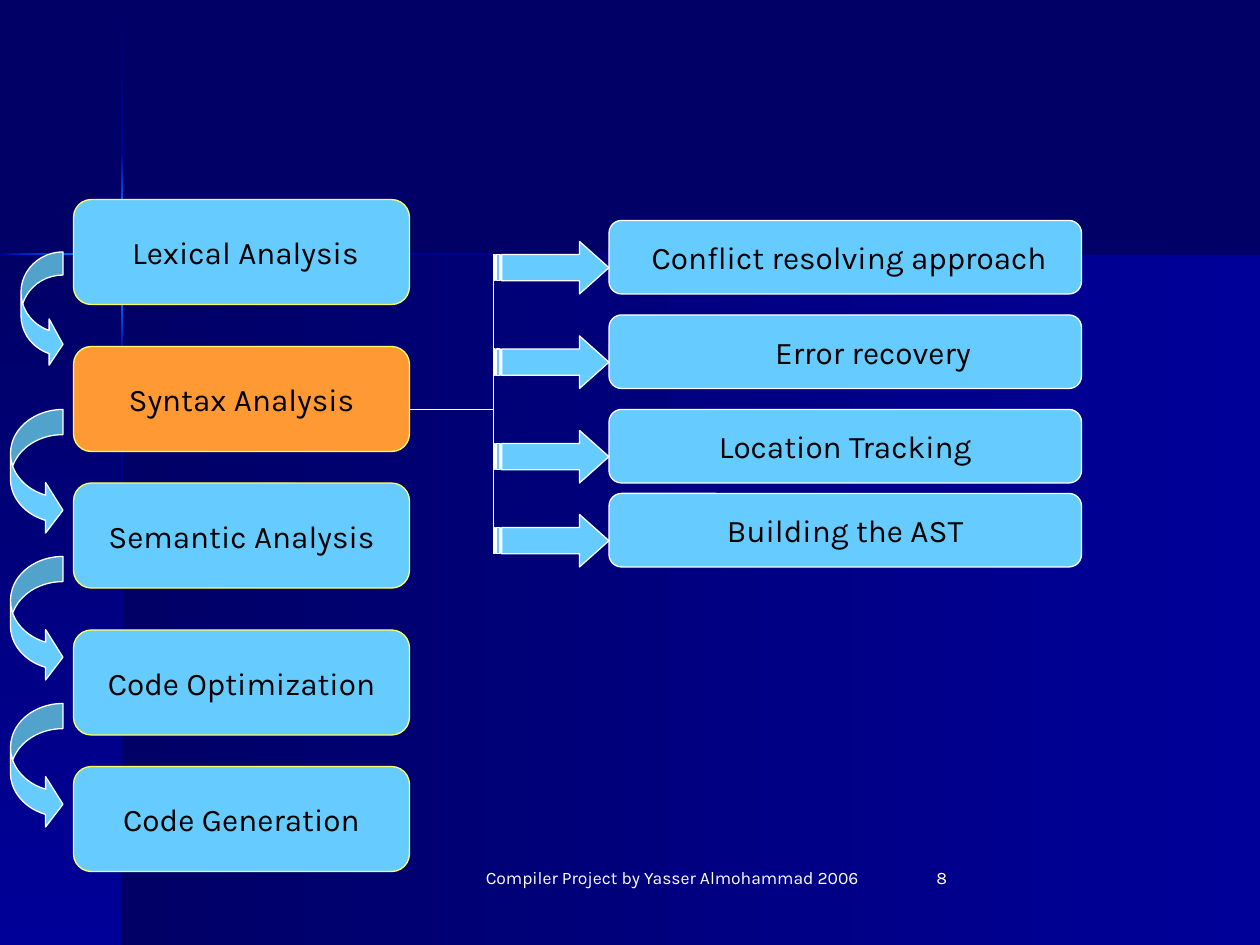
"""Build the slide on compiler phases, with the topics of syntax analysis."""
from lxml.etree import SubElement
from pptx import Presentation
from pptx.dml.color import RGBColor
from pptx.enum.shapes import MSO_CONNECTOR, MSO_SHAPE
from pptx.enum.text import MSO_ANCHOR, PP_ALIGN
from pptx.oxml.ns import qn
from pptx.util import Pt

PX = 7620
SKY, ORANGE, YELLOW, WHITE, BLACK = "66CCFF", "FF9933", "FFFF66", "FFFFFF", "000000"
NIGHT, NAVY, GLOW = "000066", "000099", "0066FF"
LEFTWARD, DOWNWARD = 180, 270


def paint(color_format, hex_color):
    color_format.rgb = RGBColor.from_string(hex_color)


def add_block(kind, box, fill, outline, adjustments=(), text="", paragraph_format=None):
    block = slide.shapes.add_shape(kind, *[n * PX for n in box])
    block.shadow.inherit = False
    block.fill.solid()
    paint(block.fill.fore_color, fill)
    paint(block.line.color, outline)
    block.line.width = Pt(0.75)
    for index, value in enumerate(adjustments):
        block.adjustments[index] = value
    if text:
        block.text_frame.word_wrap = False
        block.text_frame.vertical_anchor = MSO_ANCHOR.MIDDLE
        label = block.text_frame.paragraphs[0]
        label.text = text
        label.alignment = PP_ALIGN.CENTER
        for name, value in {"name": "Karla", "size": Pt(18)}.items():
            setattr(label.runs[0].font, name, value)
        paint(label.runs[0].font.color, BLACK)
        for name, value in (paragraph_format or {"rtl": "1"}).items():
            label._p.get_or_add_pPr().set(name, value)


presentation = Presentation()
presentation.slide_width, presentation.slide_height = 1200 * PX, 900 * PX
slide = presentation.slides.add_slide(presentation.slide_layouts[6])
slide.background.fill.solid()
paint(slide.background.fill.fore_color, NIGHT)

backdrop = [
    ((116, 242, 1084, 658), NAVY, NIGHT, LEFTWARD),
    ((0, 242, 116, 658), NIGHT, NAVY, DOWNWARD),
    ((115, 1, 2, 144), NIGHT, NAVY, DOWNWARD),
    ((115, 338, 2, 562), NAVY, NIGHT, DOWNWARD),
    ((212, 241, 988, 2), NIGHT, NAVY, LEFTWARD),
    ((115, 286, 2, 52), GLOW, NAVY, DOWNWARD),
    ((115, 145, 2, 53), NAVY, GLOW, DOWNWARD),
    ((0, 241, 73, 2), GLOW, NAVY, LEFTWARD),
]
for box, start, end, angle in backdrop:
    panel = slide.shapes.add_shape(MSO_SHAPE.RECTANGLE, *[n * PX for n in box])
    panel.shadow.inherit = False
    panel.line.fill.background()
    panel.fill.gradient()
    panel.fill.gradient_angle = angle
    for stop, hex_color in zip(panel.fill.gradient_stops, (start, end)):
        paint(stop.color, hex_color)

phases = [
    ("Lexical Analysis ", 190, SKY),
    ("Syntax Analysis", 330, ORANGE),
    ("Semantic Analysis", 460, SKY),
    ("Code Optimization", 600, SKY),
    ("Code Generation", 730, SKY),
]
for phase, top, fill in phases:
    add_block(MSO_SHAPE.ROUNDED_RECTANGLE, (70, top, 320, 100), fill, YELLOW, [0.17], phase)

for left, top, width, height in [(20, 240, 40, 110)] + [(10, y, 50, 120) for y in (390, 530, 670)]:
    bend = height / width / 5
    add_block(MSO_SHAPE.CURVED_RIGHT_ARROW, (left, top, width, height), SKY, WHITE,
              [bend, 2 * bend, 0.33])

for ends in [(470, 520, 470, 250), (470, 390, 390, 390)]:
    branch = slide.shapes.add_connector(MSO_CONNECTOR.STRAIGHT, *[n * PX for n in ends])
    paint(branch.line.color, WHITE)
    branch.line.width = Pt(0.75)
    SubElement(branch._element.spPr, qn("a:effectLst"))

topics = [
    ("Conflict resolving approach ", 210, None),
    ("Error recovery ", 300, {"marL": str(60 * PX), "indent": "0"}),
    ("Location Tracking", 390, None),
    ("Building the AST", 470, None),
]
for topic, top, paragraph_format in topics:
    add_block(MSO_SHAPE.ROUNDED_RECTANGLE, (580, top, 450, 70), SKY, WHITE, [0.17],
              topic, paragraph_format)
    add_block(MSO_SHAPE.STRIPED_RIGHT_ARROW, (470, top + 20, 110, 50), SKY, WHITE, [0.5, 0.56])

footers = [
    ("Compiler Project by Yasser Almohammad 2006", (450, 820, 380, 60), PP_ALIGN.CENTER),
    ("8", (880, 820, 250, 60), PP_ALIGN.LEFT),
]
for wording, box, alignment in footers:
    footer = slide.shapes.add_textbox(*[n * PX for n in box]).text_frame
    footer.word_wrap = True
    note = footer.paragraphs[0]
    note.text = wording
    note.alignment = alignment
    for name, value in {"name": "Karla", "size": Pt(10)}.items():
        setattr(note.runs[0].font, name, value)
    paint(note.runs[0].font.color, WHITE)

presentation.save("out.pptx")
